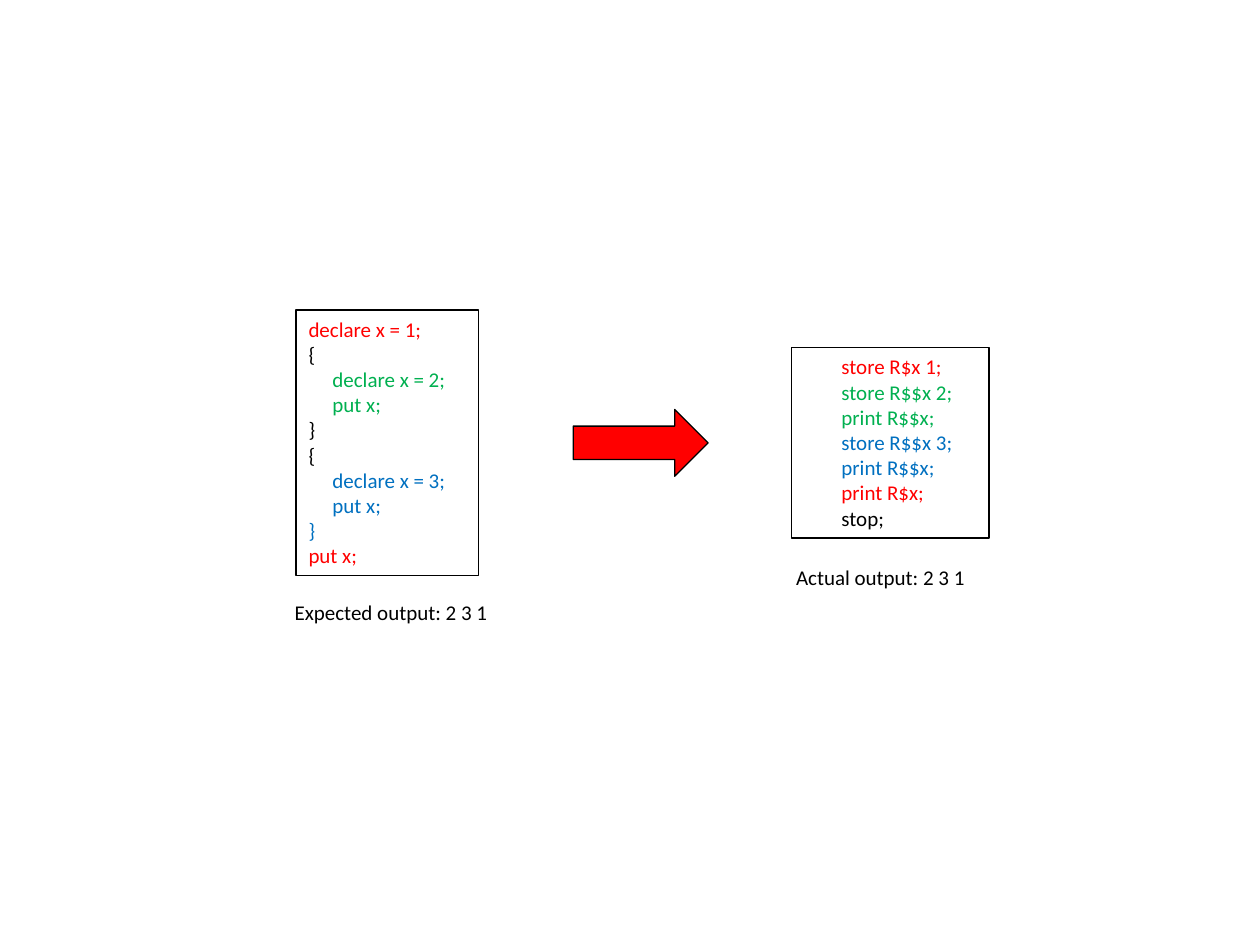
"""Build a slide that compares a scoped program with its translated output."""
from dataclasses import dataclass
from typing import Optional

from pptx import Presentation
from pptx.dml.color import RGBColor
from pptx.enum.shapes import MSO_SHAPE
from pptx.enum.text import MSO_ANCHOR, PP_ALIGN
from pptx.util import Inches, Pt

COLORS = {"black": "000000", "red": "FF0000", "green": "00B050", "blue": "0070C0"}
COLS, ROWS = 100, 75


@dataclass(frozen=True)
class Line:
    text: str
    color: str = "black"
    indent: float = 0


@dataclass(frozen=True)
class Block:
    left: float
    top: float
    width: float
    height: float
    lines: tuple[Line, ...] = ()
    outlined: bool = False
    shape: MSO_SHAPE = MSO_SHAPE.RECTANGLE
    fill: Optional[str] = None


STEP, MARGIN = 0.19, 0.3
SOURCE = (
    Line("declare x = 1;", "red"),
    Line("{"),
    Line("declare x = 2;", "green", STEP),
    Line("put x;", "green", STEP),
    Line("}"),
    Line("{"),
    Line("declare x = 3;", "blue", STEP),
    Line("put x;", "blue", STEP),
    Line("}", "blue"),
    Line("put x;", "red"),
)
TARGET = (
    Line("store R$x 1;", "red", MARGIN),
    Line("store R$$x 2;", "green", MARGIN),
    Line("print R$$x;", "green", MARGIN),
    Line("store R$$x 3;", "blue", MARGIN),
    Line("print R$$x;", "blue", MARGIN),
    Line("print R$x;", "red", MARGIN),
    Line("stop;", "black", MARGIN),
)
BLOCKS = (
    Block(23.5, 24.6, 14.5, 21.1, SOURCE, outlined=True),
    Block(62.8, 27.6, 15.7, 15.1, TARGET, outlined=True),
    Block(45.5, 32.5, 10.7, 5.3, outlined=True, shape=MSO_SHAPE.RIGHT_ARROW, fill="red"),
    Block(22.4, 47.1, 18.7, 3, (Line("Expected output: 2 3 1"),)),
    Block(62.2, 44.3, 16.4, 3, (Line("Actual output: 2 3 1"),)),
)


def rgb(name: str) -> RGBColor:
    """Return the named colour."""
    return RGBColor.from_string(COLORS[name])


def write_lines(tf, lines: tuple[Line, ...]) -> None:
    """Write one paragraph for each line."""
    tf.word_wrap = True
    tf.vertical_anchor = MSO_ANCHOR.TOP
    for i, line in enumerate(lines):
        p = tf.add_paragraph() if i else tf.paragraphs[0]
        p.text = line.text
        p.alignment = PP_ALIGN.LEFT
        p.font.name, p.font.size = "Calibri", Pt(12)
        p.font.color.rgb = rgb(line.color)
        if line.indent:
            p._p.get_or_add_pPr().set("marL", str(Inches(line.indent)))


def draw_block(prs, s, block: Block) -> None:
    """Draw an outlined shape or a plain caption on the grid."""
    col, row = prs.slide_width / COLS, prs.slide_height / ROWS
    box = [round(n) for n in (block.left * col, block.top * row,
                              block.width * col, block.height * row)]
    if block.outlined:
        sp = s.shapes.add_shape(block.shape, *box)
        sp.shadow.inherit = False
        sp.line.color.rgb = rgb("black")
        sp.line.width = Pt(0.75)
        if block.fill:
            sp.fill.solid()
            sp.fill.fore_color.rgb = rgb(block.fill)
        else:
            sp.fill.background()
    else:
        sp = s.shapes.add_textbox(*box)
    if block.lines:
        write_lines(sp.text_frame, block.lines)


def main() -> None:
    """Build and save the slide."""
    prs = Presentation()
    prs.slide_width, prs.slide_height = Inches(10), Inches(7.5)
    s = prs.slides.add_slide(prs.slide_layouts[6])
    for block in BLOCKS:
        draw_block(prs, s, block)
    prs.save("out.pptx")


main()
